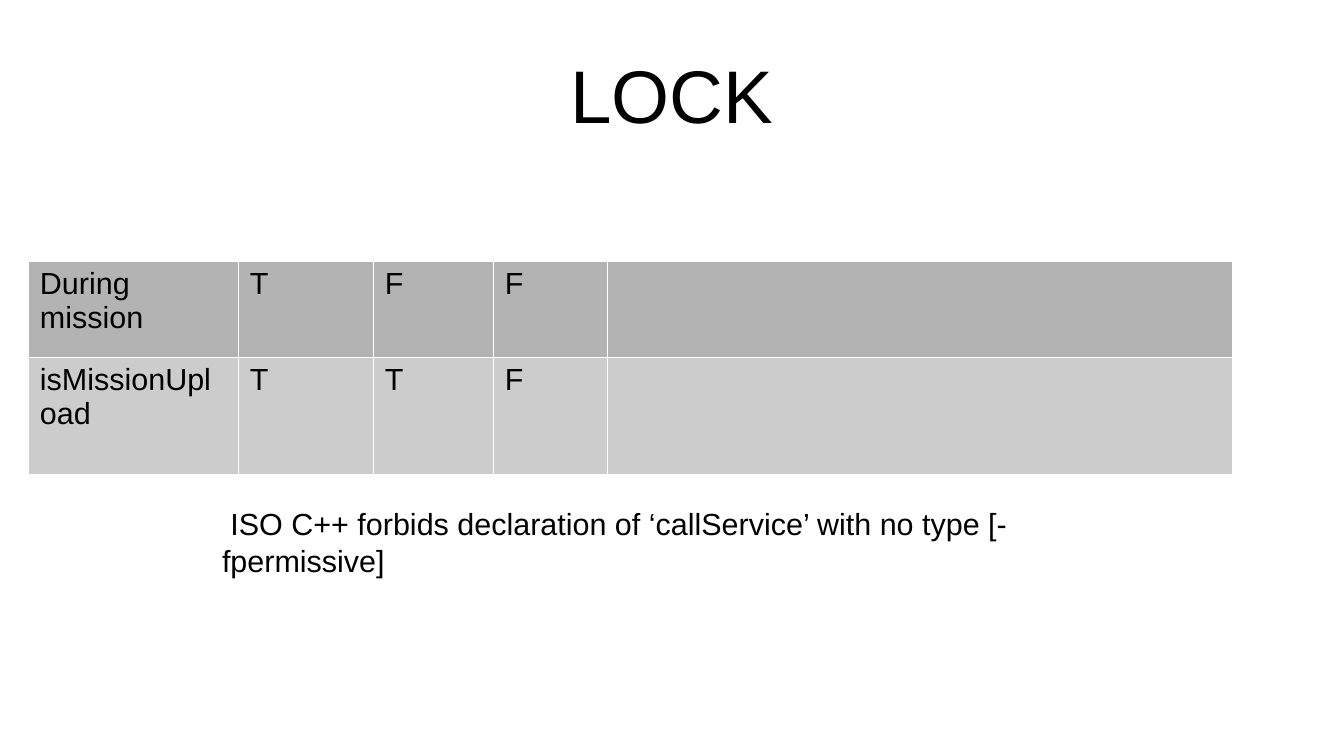
"""Build the LOCK slide with its mission state table and compiler message."""
from lxml import etree
from pptx import Presentation
from pptx.dml.color import RGBColor
from pptx.enum.text import MSO_ANCHOR, PP_ALIGN
from pptx.oxml.ns import qn
from pptx.util import Pt

LEFT, CENTER = PP_ALIGN.LEFT, PP_ALIGN.CENTER
TOP, MIDDLE = MSO_ANCHOR.TOP, MSO_ANCHOR.MIDDLE
PX = 7495
COLORS = {"text": "000000", "border": "FFFFFF", "mission": "B3B3B3", "upload": "CCCCCC"}


def write(frame, text, size=18, align=LEFT, anchor=TOP, margins=(12, 6)):
    frame.word_wrap = True
    frame.vertical_anchor = anchor
    frame.margin_left = frame.margin_right = margins[0] * PX
    frame.margin_top = frame.margin_bottom = margins[1] * PX
    paragraph = frame.paragraphs[0]
    paragraph.text = text
    paragraph.alignment = align
    paragraph.font.size = Pt(size)
    paragraph.font.name = "Arial"
    paragraph.font.color.rgb = RGBColor.from_string(COLORS["text"])


def add_borders(cell):
    properties = cell._tc.get_or_add_tcPr()
    for position, side in enumerate(("lnL", "lnR", "lnT", "lnB")):
        line = etree.Element(qn(f"a:{side}"), w=str(Pt(0.06)))
        fill = etree.SubElement(line, qn("a:solidFill"))
        etree.SubElement(fill, qn("a:srgbClr"), val=COLORS["border"])
        properties.insert(position, line)


presentation = Presentation()
presentation.slide_width = 1344 * PX
presentation.slide_height = 756 * PX
slide = presentation.slides.add_slide(presentation.slide_layouts[5])

title = slide.shapes.title
title.left, title.top, title.width, title.height = 67 * PX, 30 * PX, 1210 * PX, 127 * PX
write(title.text_frame, "LOCK", size=44, align=CENTER, anchor=MIDDLE, margins=(0, 0))

states = [
    ("mission", 96, ["During mission", "T", "F", "F", ""]),
    ("upload", 117, ["isMissionUpload", "T", "T", "F", ""]),
]
column_widths = [210, 135, 120, 114, 625]
table_height = sum(height for _, height, _ in states)
state_table = slide.shapes.add_table(
    len(states), len(column_widths),
    28 * PX, 261 * PX, sum(column_widths) * PX, table_height * PX,
).table
for column, width in zip(state_table.columns, column_widths):
    column.width = width * PX
for row, (color, height, values) in zip(state_table.rows, states):
    row.height = height * PX
    for cell, value in zip(row.cells, values):
        write(cell.text_frame, value)
        cell.margin_left = cell.margin_right = 12 * PX
        cell.margin_top = cell.margin_bottom = 6 * PX
        cell.fill.solid()
        cell.fill.fore_color.rgb = RGBColor.from_string(COLORS[color])
        add_borders(cell)

message = slide.shapes.add_textbox(210 * PX, 499 * PX, 968 * PX, 81 * PX)
write(
    message.text_frame,
    " ISO C++ forbids declaration of ‘callService’ with no type [-fpermissive]",
)

presentation.save("out.pptx")
